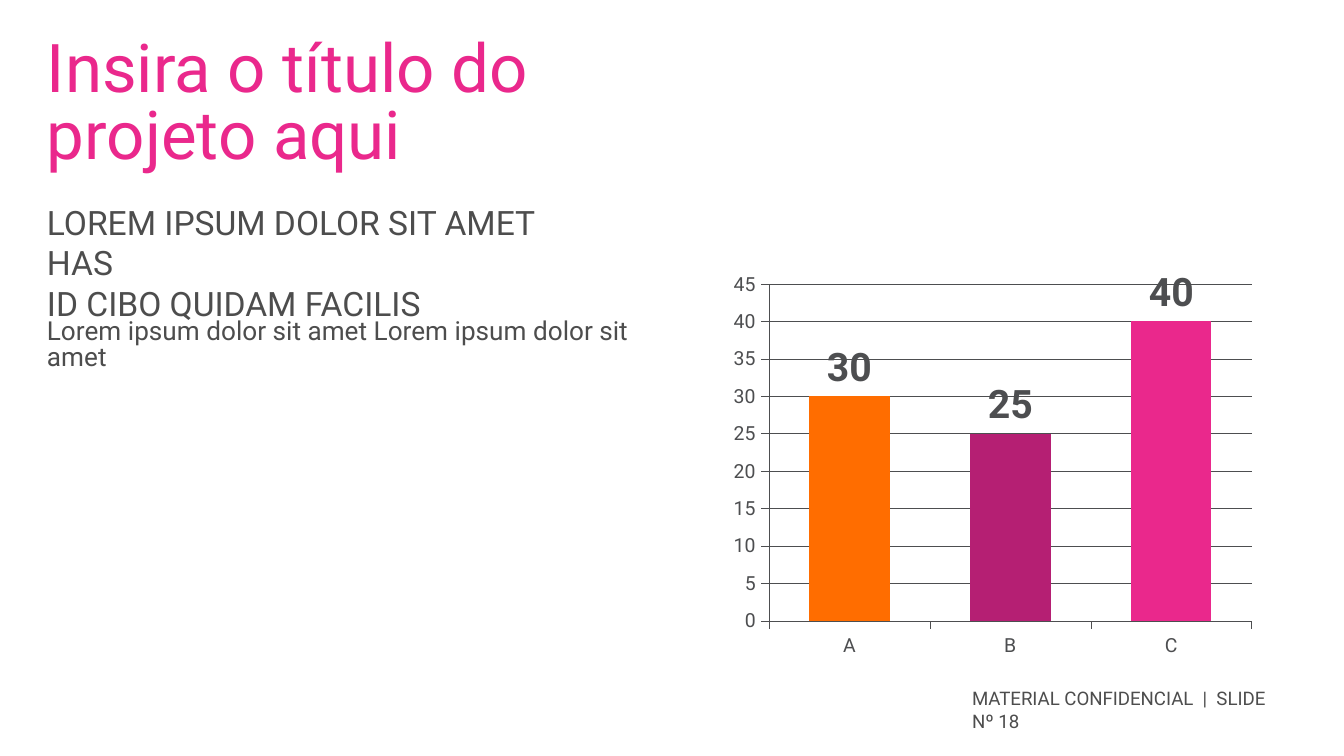
from lxml import etree
from pptx import Presentation
from pptx.chart.data import CategoryChartData
from pptx.dml.color import RGBColor
from pptx.enum.chart import XL_CHART_TYPE, XL_LABEL_POSITION, XL_TICK_MARK
from pptx.enum.text import MSO_ANCHOR, MSO_AUTO_SIZE, PP_ALIGN
from pptx.oxml import parse_xml
from pptx.util import Pt

COLUMNS = XL_CHART_TYPE.COLUMN_CLUSTERED
OUTSIDE_END = XL_LABEL_POSITION.OUTSIDE_END
TICK_OUT, TICK_NONE = XL_TICK_MARK.OUTSIDE, XL_TICK_MARK.NONE
TOP, LEFT, NO_FIT = MSO_ANCHOR.TOP, PP_ALIGN.LEFT, MSO_AUTO_SIZE.NONE

# Content: text, box in px, size and line spacing in points, colour
FONT = "Roboto"
COLORS = {"pink": "EA288C", "orange": "FF6D00", "purple": "B51F73",
          "text": "4D4D4D", "axis": "4D4E50"}
TITLE = ("Insira o título do projeto aqui", (47, 39, 559, 138), 36, 36, "pink")
TEXTS = [
    ("Lorem ipsum dolor sit amet Lorem ipsum dolor sit amet",
     (47, 320, 628, 176), 14, 14, "text"),
    ("LOREM IPSUM DOLOR SIT AMET HAS \vID CIBO QUIDAM FACILIS",
     (47, 202, 559, 82), 18, None, "text"),
    ("MATERIAL CONFIDENCIAL  |  SLIDE Nº 18",
     (972, 687, 313, 40), 10, None, "text"),
]
BARS = [("A", 30, "orange"), ("B", 25, "purple"), ("C", 40, "pink")]
CHART_BOX = (698, 266, 602, 402)
PLOT = {"x": 0.118, "y": 0.045, "w": 0.802, "h": 0.838}

PX = 914400 / 134.4


def emu(box):
    return [round(v * PX) for v in box]


def color(name):
    return RGBColor.from_string(COLORS[name])


def set_font(font, size, name, bold=False):
    font.name, font.size, font.bold = FONT, Pt(size), bold
    font.color.rgb = color(name)


def set_line(line):
    line.width = Pt(0.25)
    line.color.rgb = color("axis")


def write(shape, text, box, size, spacing, name):
    shape.left, shape.top, shape.width, shape.height = emu(box)
    frame = shape.text_frame
    frame.text = text
    frame.word_wrap = True
    frame.auto_size = NO_FIT
    frame.vertical_anchor = TOP
    frame.margin_left = frame.margin_top = 0
    frame.margin_right = frame.margin_bottom = 0
    paragraph = frame.paragraphs[0]
    paragraph.alignment = LEFT
    if spacing:
        paragraph.line_spacing = Pt(spacing)
    for run in paragraph.runs:
        set_font(run.font, size, name)


prs = Presentation()
prs.slide_width, prs.slide_height = emu((1344, 756))
slide = prs.slides.add_slide(prs.slide_layouts[5])

# Title and texts
write(slide.shapes.title, *TITLE)
for entry in TEXTS:
    write(slide.shapes.add_textbox(*emu(entry[1])), *entry)

# Column chart
data = CategoryChartData()
data.categories = [category for category, _, _ in BARS]
data.add_series("Series 1", [value for _, value, _ in BARS])
chart = slide.shapes.add_chart(COLUMNS, *emu(CHART_BOX), data).chart
chart.has_legend = chart.has_title = False
set_font(chart.font, 10.4, "axis")

for axis in (chart.category_axis, chart.value_axis):
    axis.major_tick_mark, axis.minor_tick_mark = TICK_OUT, TICK_NONE
    set_font(axis.tick_labels.font, 10.4, "axis")
    set_line(axis.format.line)
values = chart.value_axis
values.minimum_scale, values.maximum_scale, values.major_unit = 0, 45, 5
values.has_major_gridlines = True
set_line(values.major_gridlines.format.line)

# Bars and their labels
plot = chart.plots[0]
plot.gap_width = 100
plot.vary_by_categories = False
series = plot.series[0]
for index, (_, _, name) in enumerate(BARS):
    fill = series.points[index].format.fill
    fill.solid()
    fill.fore_color.rgb = color(name)
labels = series.data_labels
labels.show_value = True
labels.position = OUTSIDE_END
set_font(labels.font, 21, "axis", bold=True)

# Fixed inner plot area
C = "http://schemas.openxmlformats.org/drawingml/2006/chart"
layout = parse_xml(f'<c:layout xmlns:c="{C}"><c:manualLayout/></c:layout>')
settings = [("layoutTarget", "inner"), ("xMode", "edge"), ("yMode", "edge")]
for tag, value in settings + list(PLOT.items()):
    etree.SubElement(layout[0], f"{{{C}}}{tag}").set("val", str(value))
plot_area = chart.element.find(f".//{{{C}}}plotArea")
for old in plot_area.findall(f"{{{C}}}layout"):
    plot_area.remove(old)
plot_area.insert(0, layout)

prs.save("out.pptx")
